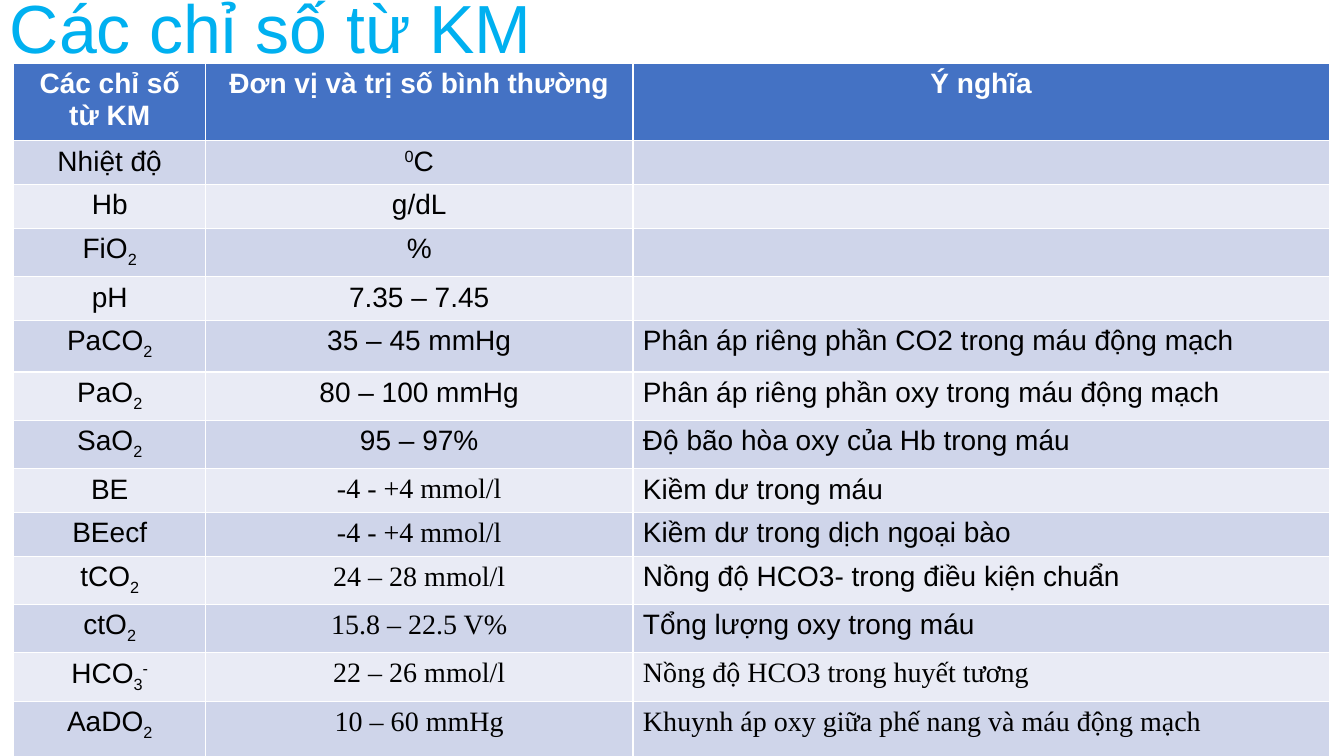
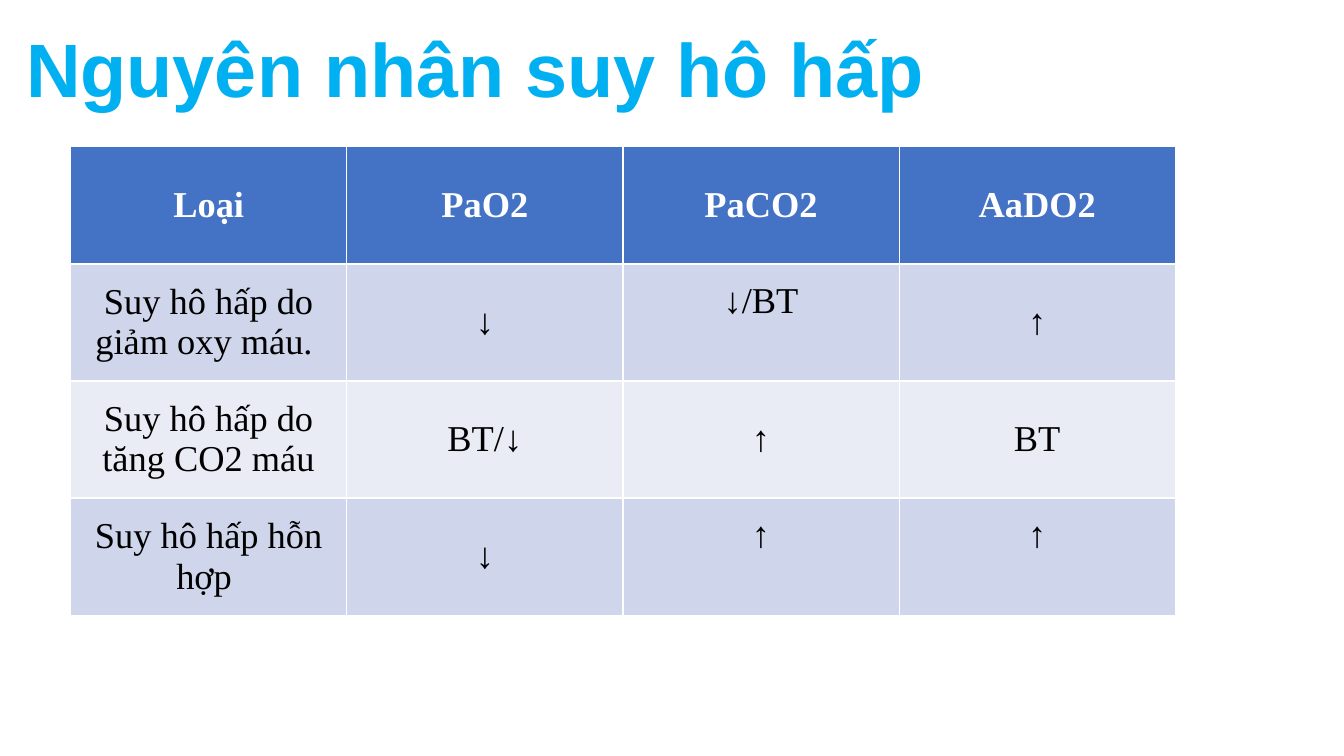
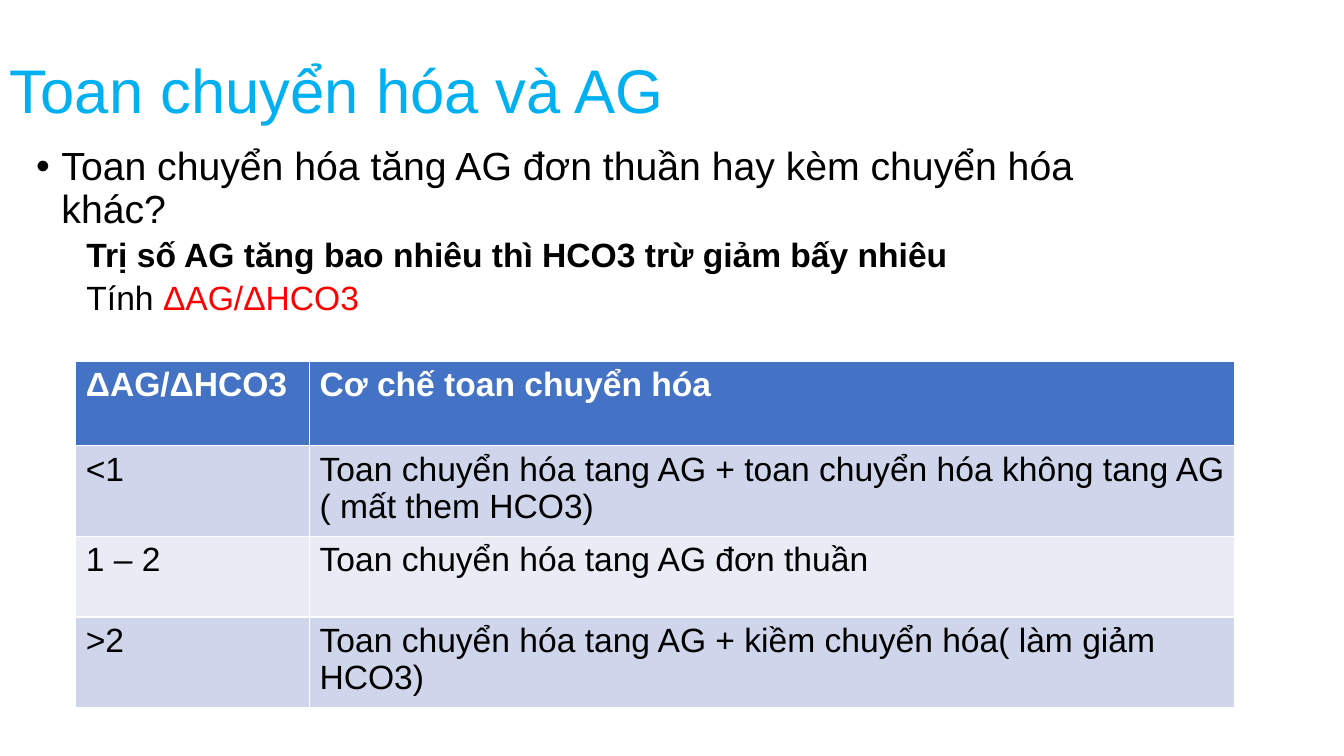
from pptx import Presentation
from pptx.dml.color import RGBColor as RGB
from pptx.enum.text import MSO_ANCHOR as ANCHOR, PP_ALIGN as ALIGN
from pptx.util import Cm, Pt
from lxml import etree

COLORS = {"title": "00B0F0", "header": "4472C4", "odd": "CFD5EA", "even": "E9EBF5",
          "white": "FFFFFF", "black": "000000", "red": "FF0000"}
ARIAL, TIMES = "Arial", "Times New Roman"
DRAWING = "{http://schemas.openxmlformats.org/drawingml/2006/main}"
SUB_2, SUB_3 = ("2", -25), ("3", -25)
SUP_0, SUP_MINUS = ("0", 30), ("-", 30)


def add_runs(p, content, color, **font):
    for part in content if isinstance(content, list) else [content]:
        text, baseline = part if isinstance(part, tuple) else (part, 0)
        r = p.add_run()
        r.text = text
        for name, value in font.items():
            setattr(r.font, name, value)
        r.font.color.rgb = RGB.from_string(COLORS[color])
        if baseline:
            r._r.get_or_add_rPr().set("baseline", f"{baseline * 1000}")


def add_table(s, left, top, widths, heights, rows, size, font, align, anchor):
    frame = s.shapes.add_table(len(rows), len(widths), Cm(left), Cm(top),
                               Cm(sum(widths)), Cm(sum(heights)))
    table = frame.table
    for column, width in zip(table.columns, widths):
        column.width = Cm(width)
    for i, (row, height) in enumerate(zip(rows, heights)):
        table.rows[i].height = Cm(height)
        fill = "header" if i == 0 else "odd" if i % 2 else "even"
        for j, content in enumerate(row):
            cell = table.cell(i, j)
            cell.fill.solid()
            cell.fill.fore_color.rgb = RGB.from_string(COLORS[fill])
            cell.vertical_anchor = anchor
            p = cell.text_frame.paragraphs[0]
            p.alignment = align
            if content:
                add_runs(p, content, "black" if i else "white",
                         size=Pt(size), name=font, bold=i == 0)
    return table


prs = Presentation()
prs.slide_width, prs.slide_height = Cm(33.87), Cm(19.05)

titles = [
    ("Các chỉ số từ KM", 0, 0, 1.6, 48.6, False),
    ("Nguyên nhân suy hô hấp", 0.41, 0, 3.68, 54, True),
    ("Toan chuyển hóa và AG", 0, 0.53, 3.68, 44, False),
]
slides = []
for text, left, top, height, size, bold in titles:
    s = prs.slides.add_slide(prs.slide_layouts[6])
    tf = s.shapes.add_textbox(Cm(left), Cm(top), Cm(29.21), Cm(height)).text_frame
    tf.word_wrap = True
    tf.vertical_anchor = ANCHOR.MIDDLE
    p = tf.paragraphs[0]
    p.line_spacing = 0.9
    add_runs(p, text, "title", size=Pt(size), name=ARIAL, bold=bold)
    slides.append(s)
index_slide, cause_slide, acidosis_slide = slides

index_rows = [
    ("Các chỉ số từ KM", "Đơn vị và trị số bình thường", "Ý nghĩa"),
    ("Nhiệt độ", [SUP_0, "C"], ""),
    ("Hb", "g/dL", ""),
    (["FiO", SUB_2], "%", ""),
    ("pH", "7.35 – 7.45", ""),
    (["PaCO", SUB_2], "35 – 45 mmHg", "Phân áp riêng phần CO2 trong máu động mạch"),
    (["PaO", SUB_2], "80 – 100 mmHg", "Phân áp riêng phần oxy trong máu động mạch"),
    (["SaO", SUB_2], "95 – 97%", "Độ bão hòa oxy của Hb trong máu"),
    ("BE", "-4 - +4 mmol/l", "Kiềm dư trong máu"),
    ("BEecf", "-4 - +4 mmol/l", "Kiềm dư trong dịch ngoại bào"),
    (["tCO", SUB_2], "24 – 28 mmol/l", "Nồng độ HCO3- trong điều kiện chuẩn"),
    (["ctO", SUB_2], "15.8 – 22.5 V%", "Tổng lượng oxy trong máu"),
    (["HCO", SUB_3, SUP_MINUS], "22 – 26 mmol/l", "Nồng độ HCO3 trong huyết tương"),
    (["AaDO", SUB_2], "10 – 60 mmHg", "Khuynh áp oxy giữa phế nang và máu động mạch"),
]
index_heights = [1.89, 1.09, 1.09, 1.17, 1.09, 1.3, 1.17, 1.17,
                 1.09, 1.09, 1.17, 1.17, 1.17, 1.75]
table = add_table(index_slide, 0.35, 1.6, [4.83, 10.77, 17.55], index_heights,
                  index_rows, 20, ARIAL, ALIGN.CENTER, ANCHOR.TOP)
for i in range(1, len(index_rows)):
    table.cell(i, 2).text_frame.paragraphs[0].alignment = ALIGN.LEFT
for column, first_row in ((1, 8), (2, 12)):
    for i in range(first_row, len(index_rows)):
        for r in table.cell(i, column).text_frame.paragraphs[0].runs:
            r.font.name = TIMES

cause_rows = [
    ("Loại", "PaO2", "PaCO2", "AaDO2"),
    ("Suy hô hấp do giảm oxy máu. ", "↓", "↓/BT", "↑"),
    ("Suy hô hấp do tăng CO2 máu", "BT/↓", "↑", "BT"),
    ("Suy hô hấp hỗn hợp ", "↓", "↑", "↑"),
]
table = add_table(cause_slide, 1.78, 3.7, [6.96] * 4, [2.95] * 4,
                  cause_rows, 26, TIMES, ALIGN.CENTER, ANCHOR.MIDDLE)
for i, j in ((1, 2), (3, 2), (3, 3)):
    table.cell(i, j).margin_bottom = Cm(1.18)

tf = acidosis_slide.shapes.add_textbox(Cm(0.66), Cm(3.58), Cm(29.21), Cm(5.2)).text_frame
tf.word_wrap = True
body = [
    (0, 28, 0, [("Toan chuyển hóa tăng AG đơn thuần hay kèm chuyển hóa khác?", "black", False)]),
    (1, 24, 5, [("Trị số AG tăng bao nhiêu thì HCO3 trừ giảm bấy nhiêu", "black", True)]),
    (1, 24, 5, [("Tính ", "black", False), ("ΔAG/ΔHCO3", "red", False)]),
]
for i, (level, size, before, runs) in enumerate(body):
    p = tf.paragraphs[0] if i == 0 else tf.add_paragraph()
    p.level, p.line_spacing, p.space_before = level, 0.9, Pt(before)
    pPr = p._p.get_or_add_pPr()
    pPr.set("marL", str(Cm(1.27 if level else 0.64)))
    pPr.set("indent", str(Cm(0 if level else -0.64)))
    if level == 0:
        etree.SubElement(pPr, DRAWING + "buFont").set("typeface", ARIAL)
        etree.SubElement(pPr, DRAWING + "buChar").set("char", "•")
    for text, color, bold in runs:
        add_runs(p, text, color, size=Pt(size), name=ARIAL, bold=bold)

acidosis_rows = [
    ("ΔAG/ΔHCO3", "Cơ chế toan chuyển hóa"),
    ("<1", "Toan chuyển hóa tang AG + toan chuyển hóa không tang AG ( mất them HCO3)"),
    ("1 – 2", "Toan chuyển hóa tang AG đơn thuần"),
    (">2", "Toan chuyển hóa tang AG + kiềm chuyển hóa( làm giảm HCO3)"),
]
add_table(acidosis_slide, 1.91, 9.1, [5.89, 23.32], [2.13, 2.13, 2.03, 2.13],
          acidosis_rows, 24, ARIAL, ALIGN.LEFT, ANCHOR.TOP)

prs.save("out.pptx")
